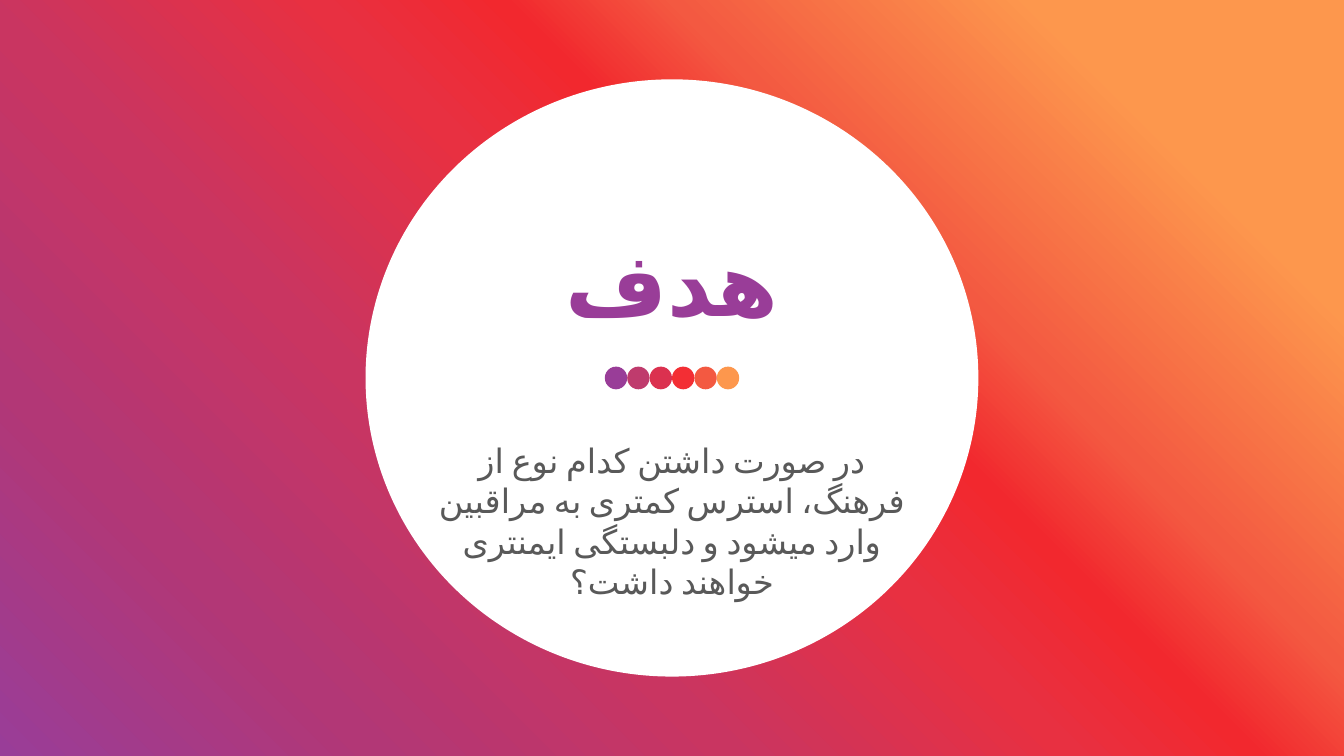
from lxml import etree
from pptx import Presentation
from pptx import util as u
from pptx.dml.color import RGBColor
from pptx.enum import shapes, text
from pptx.oxml.ns import qn

DOTS = ["993D98", "BF3B6D", "DB314F", "F32E34", "F35941", "FD974D"]
STOPS = [(0, "993D98"), (18, "B23776"), (35, "C93561"), (51, "E83041"),
         (60, "F2282E"), (68, "F35941"), (85, "FD974D"), (100, "FD974D")]


def rgb(value):
    return RGBColor.from_string(value)


class Deck:
    """Style and current slide, with lengths as shares of the slide's size."""

    font = "Calibri"
    language = "fa-IR"

    def __init__(self, width, height):
        self.prs = Presentation()
        self.prs.slide_width, self.prs.slide_height = u.Inches(width), u.Inches(height)
        self.s = self.prs.slides.add_slide(self.prs.slide_layouts[0])

    def box(self, x, y, w, h):
        W, H = self.prs.slide_width, self.prs.slide_height
        return int(x * W), int(y * H), int(w * W), int(h * H)

    def background(self, stops, angle):
        fill = self.s.background.fill
        fill.gradient()
        fill.gradient_angle = angle
        gs_list = next(self.s.element.iter(qn("a:gsLst")))
        for gs in list(gs_list):
            gs_list.remove(gs)
        for pos, color in stops:
            gs = etree.SubElement(gs_list, qn("a:gs"), pos=str(pos * 1000))
            etree.SubElement(gs, qn("a:srgbClr"), val=color)

    def ellipse(self, box, color, parent=None):
        sp = (parent or self.s).shapes.add_shape(shapes.MSO_SHAPE.OVAL, *self.box(*box))
        sp.shadow.inherit = False
        sp.fill.solid()
        sp.fill.fore_color.rgb = rgb(color)
        sp.line.fill.background()
        return sp

    def disc(self, box, color):
        sp = self.ellipse(box, color)
        self.s.shapes._spTree.insert(2, sp._element)

    def dots(self, x, y, w, h, colors):
        group = self.s.shapes.add_group_shape()
        for i, color in enumerate(colors):
            self.ellipse((x + i * w, y, w, h), color, group)

    def placeholder(self, idx, box, words, size, color, anchor, bold=False, rtl=False):
        sp = self.s.placeholders[idx]
        sp.left, sp.top, sp.width, sp.height = self.box(*box)
        tf = sp.text_frame
        tf.text = words
        tf.word_wrap, tf.auto_size = True, text.MSO_AUTO_SIZE.NONE
        tf.vertical_anchor = anchor
        tf.margin_left = tf.margin_right = tf.margin_top = tf.margin_bottom = u.Inches(0.1)
        p = tf.paragraphs[0]
        p.alignment, p.space_before = text.PP_ALIGN.CENTER, u.Pt(0)
        p.font.name, p.font.size, p.font.bold = self.font, u.Pt(size), bold
        p.font.color.rgb = rgb(color)
        pPr = p._p.get_or_add_pPr()
        defaults = pPr.find(qn("a:defRPr"))
        defaults.set("lang", self.language)
        etree.SubElement(defaults, qn("a:cs"), typeface=self.font)
        if rtl:
            pPr.set("rtl", "1")


def main():
    deck = Deck(10, 5.625)
    deck.background(STOPS, 45)
    deck.disc((0.272, 0.105, 0.456, 0.79), "FFFFFF")
    deck.placeholder(0, (0.312, 0.245, 0.376, 0.215), "هدف", 47, "993D98",
                     text.MSO_ANCHOR.BOTTOM, bold=True)
    deck.placeholder(1, (0.3075, 0.564, 0.385, 0.215),
                     "در صورت داشتن کدام نوع از فرهنگ، استرس کمتری به مراقبین "
                     "وارد میشود و دلبستگی ایمنتری خواهند داشت؟",
                     18, "595959", text.MSO_ANCHOR.TOP, rtl=True)
    deck.dots(0.45, 0.485, 0.1 / len(DOTS), 0.03, DOTS)
    deck.prs.save("out.pptx")


if __name__ == "__main__":
    main()
